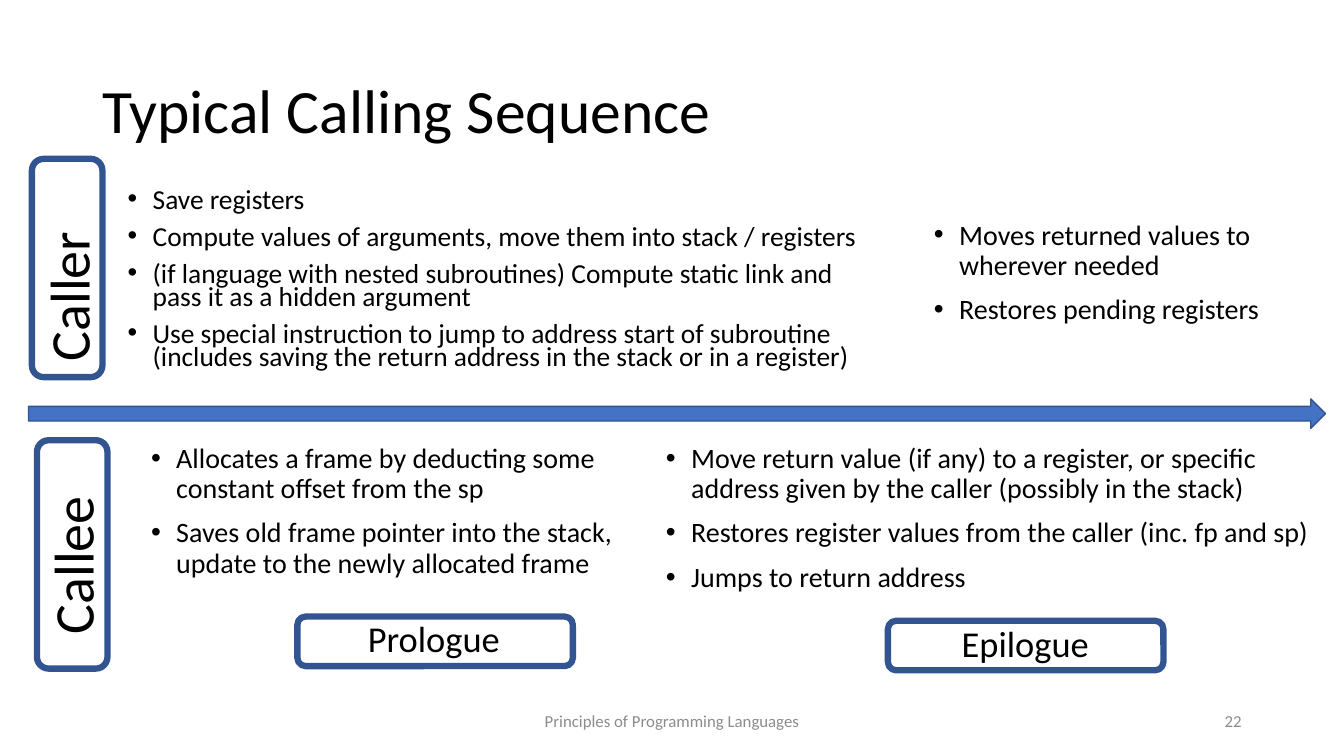
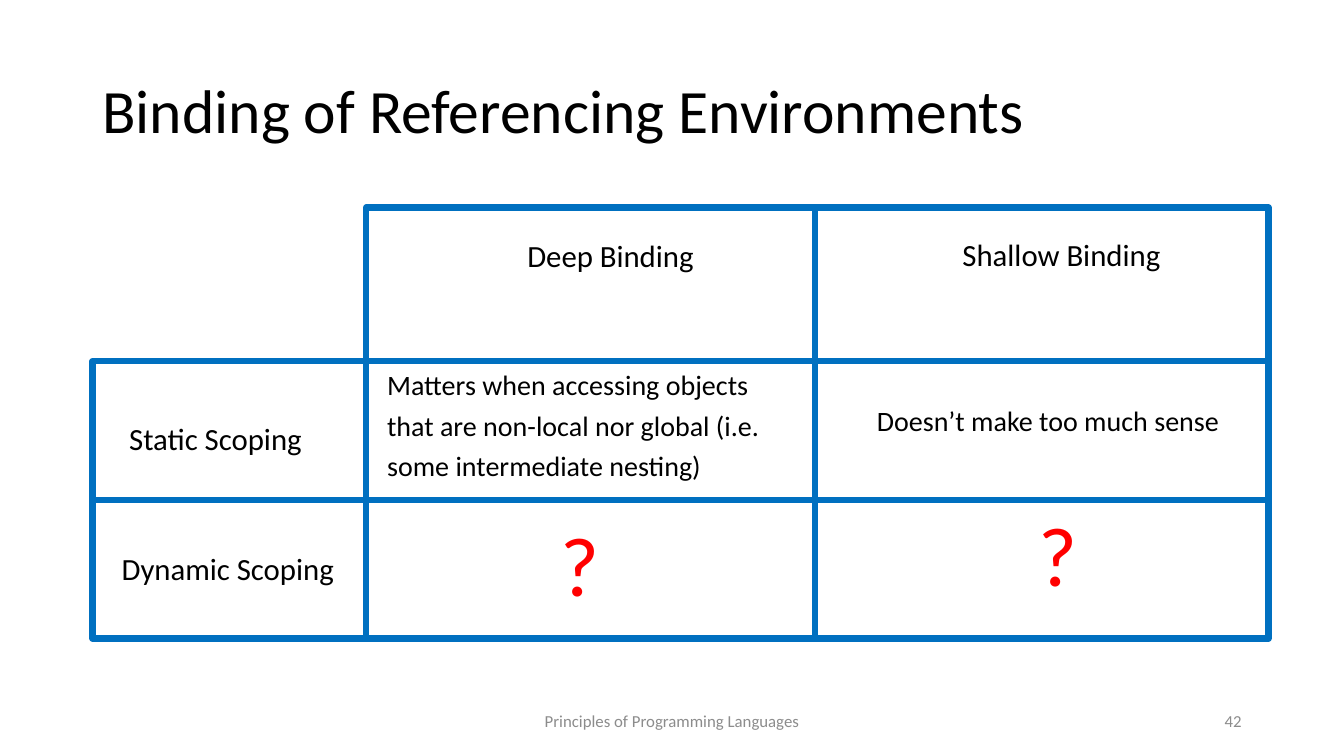
import pptx
import pptx.dml.color
import pptx.enum.shapes
import pptx.enum.text
import pptx.oxml.ns
import pptx.util
import lxml.etree

COLUMNS, ROWS = 160, 90
FONT = "Calibri"
BLACK, GREY, RED = "000000", "8C8C8C", "FF0000"
ARROW_BLUE, FRAME_BLUE, TABLE_BLUE = "4472C4", "325491", "0070C0"
SHAPES = pptx.enum.shapes.MSO_SHAPE
ALIGN = pptx.enum.text.PP_ALIGN
ANCHOR = pptx.enum.text.MSO_ANCHOR
AUTO_SIZE = pptx.enum.text.MSO_AUTO_SIZE


def colour(hex_string):
    """Turn a hex string into a colour."""
    return pptx.dml.color.RGBColor.from_string(hex_string)


def add_bullet(paragraph):
    """Give a paragraph a round bullet and a hanging indent."""
    indent = pptx.util.Inches(0.25)
    properties = paragraph._p.get_or_add_pPr()
    properties.set("marL", str(indent))
    properties.set("indent", str(-indent))
    for tag, attribute, value in (("a:buFont", "typeface", "Arial"),
                                  ("a:buChar", "char", "•")):
        mark = lxml.etree.SubElement(properties, pptx.oxml.ns.qn(tag))
        mark.set(attribute, value)


class Deck:
    """Hold the shared style and the current slide."""

    def __init__(self):
        """Start a widescreen presentation."""
        self.presentation = pptx.Presentation()
        self.presentation.slide_width = pptx.util.Inches(13.33)
        self.presentation.slide_height = pptx.util.Inches(7.5)
        self.slide = None

    def place(self, left, top, width, height):
        """Convert grid columns and rows to lengths."""
        column = self.presentation.slide_width / COLUMNS
        row = self.presentation.slide_height / ROWS
        return (round(left * column), round(top * row),
                round(width * column), round(height * row))

    def add_slide(self, title, number):
        """Add a slide with its title, footer and number."""
        blank = self.presentation.slide_layouts[6]
        self.slide = self.presentation.slides.add_slide(blank)
        self.text((11, 4.8, 138, 17.4), [title], 44,
                  anchor=ANCHOR.MIDDLE, spacing=0.9)
        self.text((53, 83.4, 54, 4.8), ["Principles of Programming Languages"],
                  12, GREY, anchor=ANCHOR.MIDDLE, align=ALIGN.CENTER)
        self.text((113, 83.4, 36, 4.8), [str(number)], 12, GREY,
                  anchor=ANCHOR.MIDDLE, align=ALIGN.RIGHT)

    def text(self, area, lines, size, ink=BLACK, anchor=ANCHOR.TOP,
             align=ALIGN.LEFT, spacing=None, bullets=False, wrap=True):
        """Add a text box with one paragraph for each line."""
        box = self.slide.shapes.add_textbox(*self.place(*area))
        frame = box.text_frame
        frame.word_wrap = wrap
        frame.vertical_anchor = anchor
        frame.text = "\n".join(lines)
        for paragraph in frame.paragraphs:
            if bullets:
                add_bullet(paragraph)
                paragraph.space_before = pptx.util.Pt(10)
            paragraph.alignment = align
            if spacing:
                paragraph.line_spacing = spacing
            paragraph.font.name = FONT
            paragraph.font.size = pptx.util.Pt(size)
            paragraph.font.color.rgb = colour(ink)
        return box

    def label(self, area, words, size, ink=BLACK, rotation=0):
        """Add one unwrapped line that its box fits."""
        box = self.text(area, [words], size, ink, wrap=False)
        box.text_frame.auto_size = AUTO_SIZE.SHAPE_TO_FIT_TEXT
        box.rotation = rotation

    def bullets(self, area, lines, size=20, spacing=0.9):
        """Add a bulleted list."""
        self.text(area, lines, size, spacing=spacing, bullets=True)

    def shape(self, kind, area, line, line_width=4.5, fill=None, rotation=0):
        """Add an outlined shape, hollow unless a fill is given."""
        shape = self.slide.shapes.add_shape(kind, *self.place(*area))
        shape.shadow.inherit = False
        shape.rotation = rotation
        shape.line.color.rgb = colour(line)
        shape.line.width = pptx.util.Pt(line_width)
        if fill:
            shape.fill.solid()
            shape.fill.fore_color.rgb = colour(fill)
        else:
            shape.fill.background()

    def tag(self, words, size, frame_area, label_area, rotation=0):
        """Add a rounded frame with its label."""
        self.shape(SHAPES.ROUNDED_RECTANGLE, frame_area, FRAME_BLUE,
                   rotation=rotation)
        self.label(label_area, words, size, rotation=rotation)


def calling_sequence(deck):
    """Build the timeline of caller and callee duties."""
    deck.add_slide("Typical Calling Sequence", 22)
    deck.bullets((14, 22.2, 92, 25.4), [
        "Save registers",
        "Compute values of arguments, move them into stack / registers",
        "(if language with nested subroutines) Compute static link and "
        "pass it as a hidden argument",
        "Use special instruction to jump to address start of subroutine "
        "(includes saving the return address in the stack or in a register)",
    ], size=19.6, spacing=0.7)
    deck.bullets((110, 25.7, 42, 21.6), [
        "Moves returned values to wherever needed",
        "Restores pending registers",
    ])
    deck.bullets((16.8, 52.3, 66.1, 22.3), [
        "Allocates a frame by deducting some constant offset from the sp",
        "Saves old frame pointer into the stack, update to the newly "
        "allocated frame",
    ])
    deck.bullets((78.1, 52.3, 79.7, 22.3), [
        "Move return value (if any) to a register, or specific address "
        "given by the caller (possibly in the stack)",
        "Restores register values from the caller (inc. fp and sp)",
        "Jumps to return address",
    ])
    deck.shape(SHAPES.RIGHT_ARROW, (3.4, 47.5, 154.4, 3.5), FRAME_BLUE,
               line_width=1, fill=ARROW_BLUE)
    deck.tag("Caller", 40, (-5, 27.7, 26, 8.4), (-1, 30.6, 18, 9.2), 270)
    deck.tag("Callee", 40, (-5, 61.8, 27.2, 8.4), (-1, 62.6, 19, 9.2), 270)
    deck.tag("Prologue", 26, (35.4, 73.4, 32.8, 5.9), (42.6, 72.8, 18.2, 6.5))
    deck.tag("Epilogue", 26, (105.7, 73.9, 32.8, 5.9), (113.3, 73.4, 17.8, 6.5))


def binding_environments(deck):
    """Build the grid of scoping rules against binding rules."""
    deck.add_slide("Binding of Referencing Environments", 42)
    scoping_height = 16.5
    for row in range(2):
        deck.shape(SHAPES.RECTANGLE,
                   (11, 43 + row * scoping_height, 140, scoping_height),
                   TABLE_BLUE)
    for left, width in ((43.6, 53.4), (97, 54)):
        deck.shape(SHAPES.RECTANGLE, (left, 24.7, width, 51.3), TABLE_BLUE)
    for words, left, top, width in (
            ("Static Scoping", 14.2, 49.4, 23.2),
            ("Dynamic Scoping", 13.3, 64.9, 28),
            ("Deep Binding", 61.6, 27.6, 22.4),
            ("Shallow Binding", 113.4, 27.5, 26.2)):
        deck.label((left, top, width, 5.6), words, 22)
    deck.text((44.9, 42.4, 50.2, 15.5), [
        "Matters when accessing objects that are non-local nor global "
        "(i.e. some intermediate nesting)"], 20, spacing=1.2)
    deck.label((103.2, 47.5, 43.6, 5.3), "Doesn’t make too much sense", 20)
    for left, top in ((65.5, 60.4), (122.4, 59.2)):
        deck.label((left, top, 7.1, 13.3), "?", 60, RED)


deck = Deck()
calling_sequence(deck)
binding_environments(deck)
deck.presentation.save("out.pptx")
